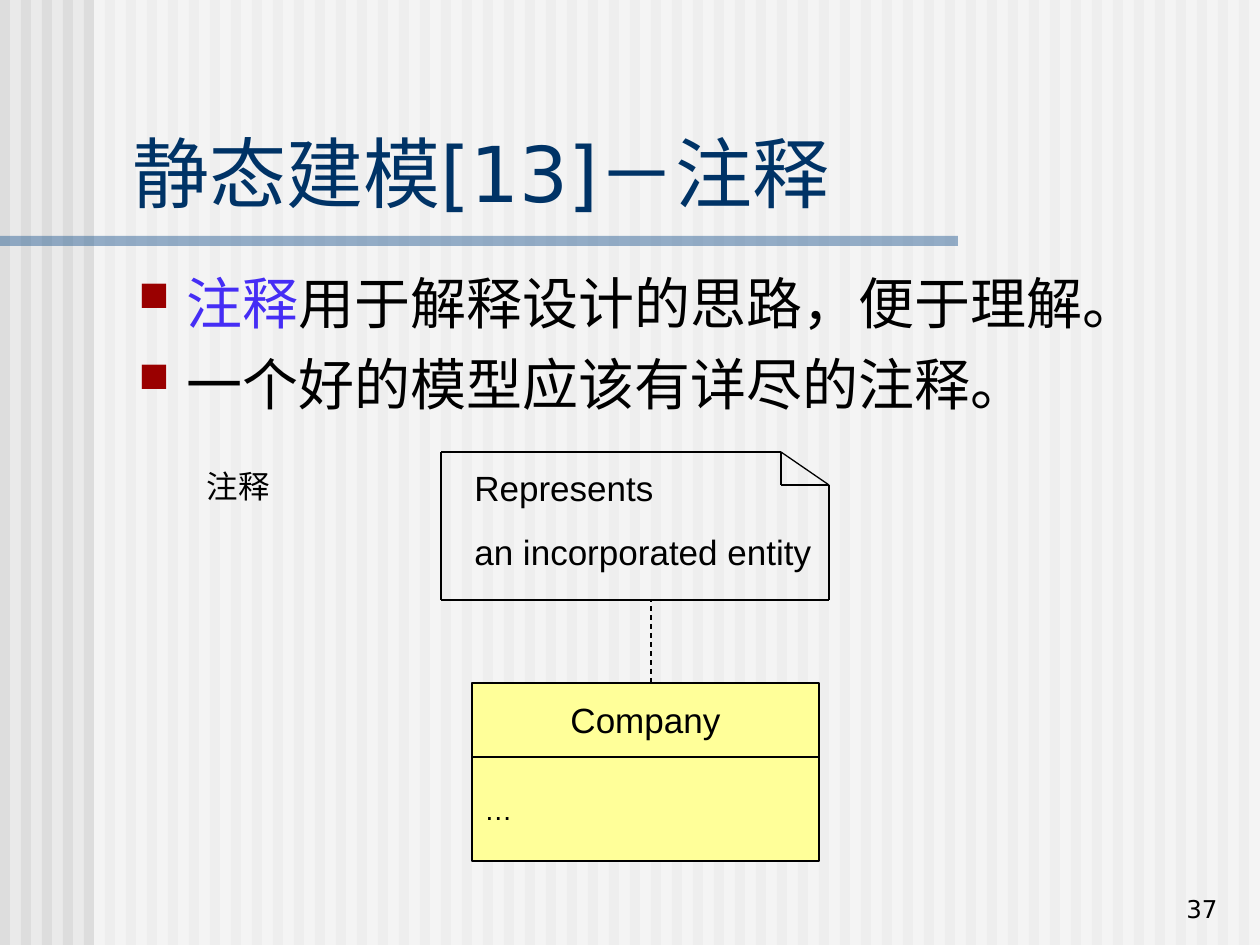
from itertools import pairwise
from pptx import Presentation
from pptx import util as u
from pptx.dml.color import RGBColor
from pptx.enum import dml, shapes, text
from pptx.oxml import ns, xmlchemy as xml

PX = 914400 / 126
WIDE, HIGH = 1260, 945
BLACK = RGBColor(0x00, 0x00, 0x00)
WHITE = RGBColor(0xFF, 0xFF, 0xFF)
PAPER = RGBColor(0xEA, 0xEA, 0xEA)
STRIPE = RGBColor(0xDD, 0xDD, 0xDD)
BLUE = RGBColor(0x33, 0x66, 0x99)
NAVY = RGBColor(0x00, 0x33, 0x66)
VIOLET = RGBColor(0x45, 0x2D, 0xF5)
YELLOW = RGBColor(0xFF, 0xFF, 0x99)
SANS = "DejaVu Sans"
LEFT, MID, RIGHT = text.PP_ALIGN.LEFT, text.PP_ALIGN.CENTER, text.PP_ALIGN.RIGHT
TOP, CENTER, BASE = text.MSO_ANCHOR.TOP, text.MSO_ANCHOR.MIDDLE, text.MSO_ANCHOR.BOTTOM


def write(shape, *paras, size=20, font="Arial", color=BLACK, align=LEFT,
          anchor=TOP, gap=0, wrap=True, bullet=False):
    """Fill a shape with paragraphs, each a list of (words, colour or None) runs."""
    frame = shape.text_frame
    frame.word_wrap = wrap
    frame.vertical_anchor = anchor
    for i, runs in enumerate(paras):
        para = frame.add_paragraph() if i else frame.paragraphs[0]
        para.alignment = align
        if i:
            para.space_before = u.Pt(gap)
        if bullet:
            props = para._p.get_or_add_pPr()
            props.set("marL", str(round(48 * PX)))
            props.set("indent", str(round(-48 * PX)))
            tint = xml.OxmlElement("a:buClr")
            props.append(tint)
            rgb = xml.OxmlElement("a:srgbClr")
            rgb.set("val", "9A0000")
            tint.append(rgb)
            for tag, key, value in (("a:buSzPct", "val", "75000"),
                                    ("a:buChar", "char", "■")):
                mark = xml.OxmlElement(tag)
                mark.set(key, value)
                props.append(mark)
        for words, tint in runs:
            run = para.add_run()
            run.text = words
            run.font.size = u.Pt(size)
            run.font.name = font
            run.font.color.rgb = tint or color


def rect(x, y, w, h, fill, alpha=None, edge=None):
    box = slide.shapes.add_shape(shapes.MSO_SHAPE.RECTANGLE,
                                 *(round(n * PX) for n in (x, y, w, h)))
    box.shadow.inherit = False
    box.fill.solid()
    box.fill.fore_color.rgb = fill
    if alpha:
        glass = xml.OxmlElement("a:alpha")
        glass.set("val", str(alpha * 1000))
        box._element.spPr.find(".//" + ns.qn("a:srgbClr")).append(glass)
    if edge:
        box.line.color.rgb = BLACK
        box.line.width = u.Pt(edge)
    else:
        box.line.fill.background()
    return box


deck = Presentation()
deck.slide_width, deck.slide_height = round(WIDE * PX), round(HIGH * PX)
slide = deck.slides.add_slide(deck.slide_layouts[6])
slide.background.fill.solid()
slide.background.fill.fore_color.rgb = PAPER

# Striped backdrop, veil and title rule
for x in range(0, WIDE, 21):
    rect(x, 0, 10, HIGH, STRIPE)
rect(94, 0, WIDE - 94, HIGH, WHITE, alpha=50)
rect(0, 236, 958, 10, BLUE, alpha=50)

# Class box and its note
head = rect(472, 683, 347, 74, YELLOW, edge=1)
write(head, [("Company", None)], align=MID, anchor=CENTER, wrap=False)
body = rect(472, 757, 347, 104, YELLOW, edge=1)
write(body, [("…", None)], size=16, anchor=CENTER, wrap=False)

fold = [(781, 452), (441, 452), (441, 600), (829, 600), (829, 485),
        (781, 452), (781, 485), (829, 485)]
lines = [(a, b, False) for a, b in pairwise(fold)]
lines.append(((651, 683), (651, 600), True))
for start, end, dash in lines:
    line = slide.shapes.add_connector(shapes.MSO_CONNECTOR.STRAIGHT,
                                      *(round(n * PX) for n in start + end))
    line.line.color.rgb = BLACK
    line.line.width = u.Pt(0.75)
    if dash:
        line.line.dash_style = dml.MSO_LINE.DASH
    line._element.spPr.append(xml.OxmlElement("a:effectLst"))

# Text boxes
texts = [
    ((120, 118, 1125, 106), [[("静态建模[13]－注释", None)]],
     dict(size=44, font=SANS, color=NAVY, anchor=BASE)),
    ((126, 262, 1118, 168),
     [[("注释", VIOLET), ("用于解释设计的思路，便于理解。", None)],
      [("一个好的模型应该有详尽的注释。", None)]],
     dict(size=32, font=SANS, gap=8, bullet=True)),
    ((462, 460, 368, 118),
     [[("Represents", None)], [("an incorporated entity", None)]], dict(gap=12.5)),
    ((154, 461, 168, 50), [[("注释", None)]], dict(size=18, align=MID)),
    ((968, 867, 262, 63), [[("37", None)]],
     dict(size=14, font=SANS, align=RIGHT, anchor=BASE)),
]
for place, paras, style in texts:
    box = slide.shapes.add_textbox(*(round(n * PX) for n in place))
    write(box, *paras, **style)

deck.save("out.pptx")
